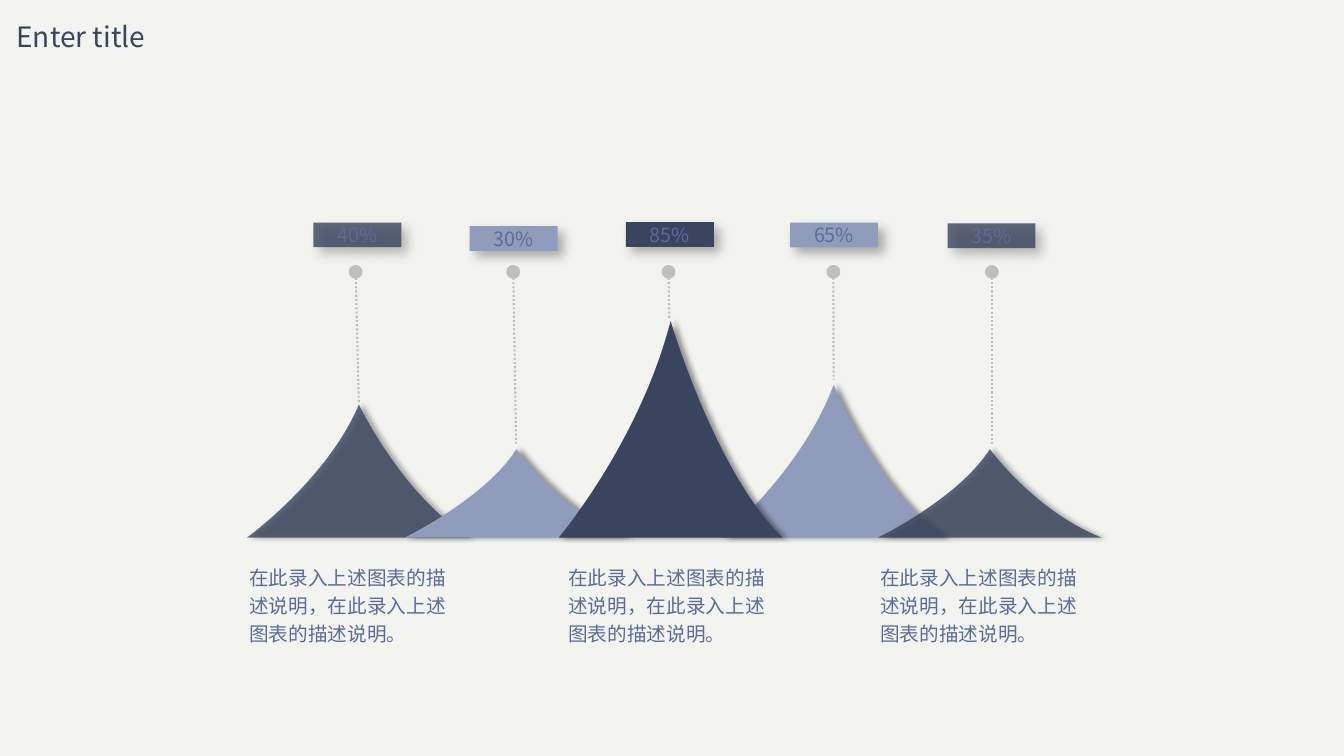
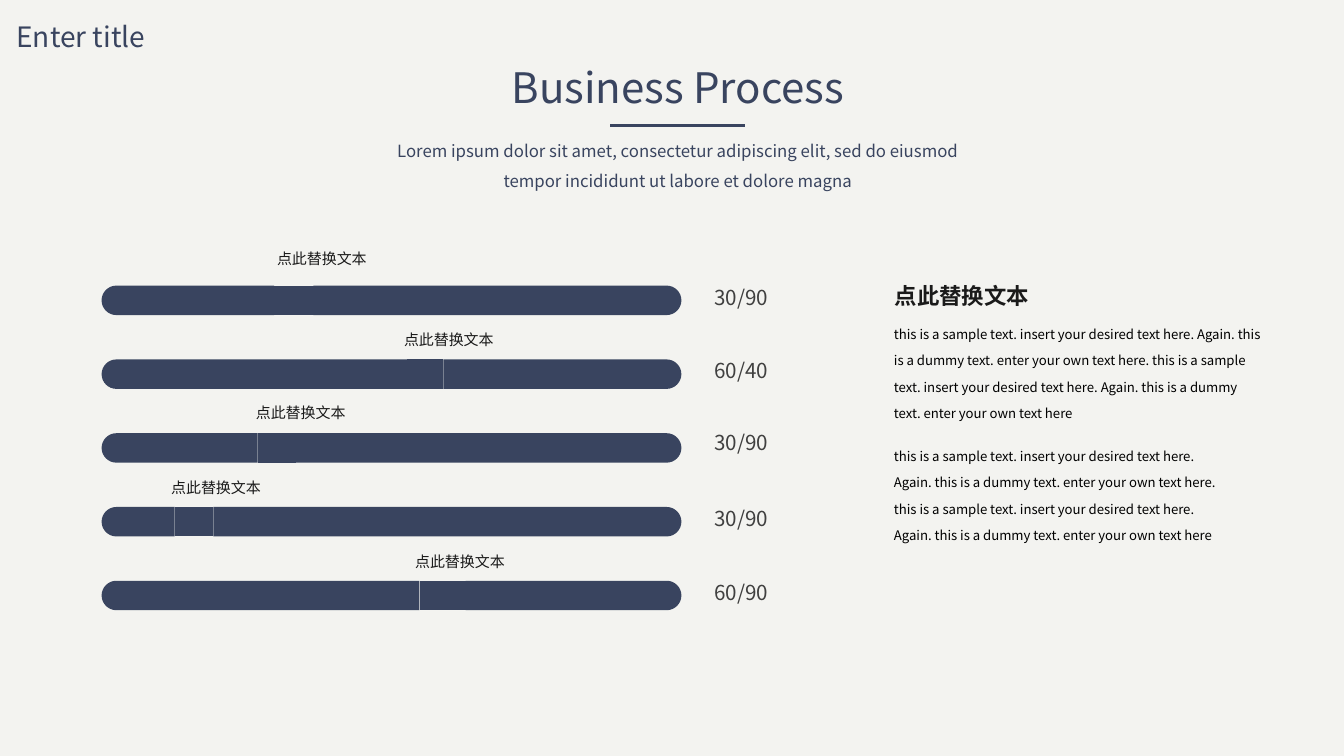
"""Build two slides: a chart of mountain peaks and a list of progress bars."""
from dataclasses import dataclass
from typing import Optional, Union

import lxml.etree
import pptx
import pptx.dml.color
import pptx.enum.dml
import pptx.enum.shapes
import pptx.enum.text
import pptx.oxml.ns
import pptx.util

COLUMNS, ROWS = 133.33, 75
CELL = pptx.util.Inches(0.1)
FONT = "Noto Sans CJK SC"
COLORS = {
    "paper": "F3F3F0",
    "navy": "39445F",
    "mist": "8F9CBC",
    "slate": "5B6C97",
    "pin": "BFBFBF",
    "score": "404040",
    "ink": "1A1A1A",
    "black": "000000",
}
BASELINE, PEAK_WIDTH = 53.34, 22.2
TAG_WIDTH, TAG_HEIGHT = 8.72, 2.45
PIN_TOP = 26.97
BAR_LEFT, BAR_RIGHT, BAR_TOP = 10.08, 67.6, 28.34
BAR_HEIGHT, BAR_PITCH = 2.92, 7.32
ROUNDING = 0.8
CAPTION = "在此录入上述图表的描述说明，在此录入上述图表的描述说明。"
LABEL = "点此替换文本"
SENTENCES = (
    "this is a sample text. insert your desired text here. Again. "
    "this is a dummy text. enter your own text here"
)
SAMPLE = f"{SENTENCES}. {SENTENCES}"
SUBTITLE = (
    "Lorem ipsum dolor sit amet, consectetur adipiscing elit, "
    "sed do eiusmod tempor incididunt ut labore et dolore magna"
)
Point = tuple[float, float]
Segment = tuple[Point, ...]


@dataclass(frozen=True)
class Style:
    """Look of a paragraph."""

    size: float
    color: str
    bold: bool = False
    centered: bool = False
    spacing: Optional[Union[float, pptx.util.Length]] = None


@dataclass(frozen=True)
class Shadow:
    """Outer shadow: opacity in percent, lengths in points, angle in degrees."""

    opacity: int
    blur: int
    distance: int
    angle: int


@dataclass(frozen=True)
class Peak:
    """One mountain with its percentage tag and dotted pin, in grid cells."""

    share: str
    color: str
    opacity: int
    left: float
    height: float
    tag: Point
    pin_start: float
    pin_end: Point


@dataclass(frozen=True)
class Bar:
    """One progress bar, split at two columns, with its label and score."""

    score: str
    score_top: float
    splits: Point
    label: Point


TITLE = Style(20, "navy")
HEADING = Style(30, "navy", centered=True, spacing=0.9)
LEAD = Style(12, "navy", centered=True, spacing=1.5)
TAG = Style(14, "slate", centered=True)
NOTE = Style(14, "slate", spacing=1.2)
SCORE = Style(14.7, "score")
BAR_LABEL = Style(10.7, "ink")
ASIDE_HEADING = Style(16, "ink", bold=True)
ASIDE = Style(9.4, "black", spacing=pptx.util.Pt(18.7))
PEAK_SHADOW = Shadow(40, 4, 3, 0)
TAG_SHADOW = Shadow(30, 8, 6, 45)

PEAKS = (
    Peak("40%", "navy", 80, 24.5, 13.2, (31.1, 22.08), 35.28, (35.6, 40.1)),
    Peak("30%", "mist", 100, 40.13, 8.77, (46.6, 22.44), 50.92, (51.2, 44)),
    Peak("65%", "mist", 100, 71.6, 15.15, (78.38, 22.1), 82.68, (82.7, 37.7)),
    Peak("85%", "navy", 100, 55.43, 21.48, (62.1, 22.04), 66.33, (66.4, 31.6)),
    Peak("35%", "navy", 80, 87.1, 8.78, (94, 22.17), 98.4, (98.4, 44)),
)
BARS = (
    Bar("30/90", 27.8, (27.2, 31.1), (26.5, 24.25)),
    Bar("60/40", 35, (40.4, 44), (39.1, 32.3)),
    Bar("30/90", 42.2, (25.55, 29.38), (24.4, 39.55)),
    Bar("30/90", 49.65, (17.32, 21.17), (16, 47)),
    Bar("60/90", 57.05, (41.62, 46.2), (40.2, 54.3)),
)


def cells(count: float) -> pptx.util.Length:
    """Turn grid cells into a length."""
    return pptx.util.Emu(round(count * CELL))


def rgb(name: str) -> pptx.dml.color.RGBColor:
    """Look up a colour by name."""
    return pptx.dml.color.RGBColor.from_string(COLORS[name])


def add_xml(parent, tag: str, **attributes: object):
    """Append a drawing element with attributes."""
    values = {key: str(value) for key, value in attributes.items()}
    return lxml.etree.SubElement(parent, pptx.oxml.ns.qn(tag), values)


def paint(shape, color: str, opacity: int = 100, shadow: Optional[Shadow] = None) -> None:
    """Fill a shape without outline and give it its shadow."""
    shape.fill.solid()
    shape.fill.fore_color.rgb = rgb(color)
    shape.line.fill.background()
    shape.shadow.inherit = False
    properties = shape._element.spPr
    if opacity < 100:
        fill = properties.find(pptx.oxml.ns.qn("a:solidFill"))
        add_xml(fill[0], "a:alpha", val=opacity * 1000)
    if shadow:
        effects = properties.find(pptx.oxml.ns.qn("a:effectLst"))
        outer = add_xml(
            effects, "a:outerShdw",
            blurRad=pptx.util.Pt(shadow.blur), dist=pptx.util.Pt(shadow.distance),
            dir=shadow.angle * 60000, algn="tl", rotWithShape=0,
        )
        tint = add_xml(outer, "a:srgbClr", val=COLORS["black"])
        add_xml(tint, "a:alpha", val=shadow.opacity * 1000)


def write(frame, text: str, style: Style, wrap: bool, inset: bool) -> None:
    """Put one styled paragraph into a text frame."""
    frame.word_wrap = wrap
    if not inset:
        frame.margin_left = frame.margin_right = 0
        frame.margin_top = frame.margin_bottom = 0
    paragraph = frame.paragraphs[0]
    paragraph.text = text
    align = pptx.enum.text.PP_ALIGN
    paragraph.alignment = align.CENTER if style.centered else align.LEFT
    if style.spacing is not None:
        paragraph.line_spacing = style.spacing
    font = paragraph.font
    font.size = pptx.util.Pt(style.size)
    font.bold = style.bold
    font.color.rgb = rgb(style.color)
    font.name = FONT
    defaults = paragraph._p.pPr.find(pptx.oxml.ns.qn("a:defRPr"))
    add_xml(defaults, "a:ea", typeface=FONT)


def add_text(slide, text: str, style: Style, at: Point, size: Point,
             wrap: bool = True, inset: bool = True, grow: bool = True) -> None:
    """Add a text box placed on the grid."""
    box = slide.shapes.add_textbox(*map(cells, (*at, *size)))
    write(box.text_frame, text, style, wrap, inset)
    fit = pptx.enum.text.MSO_AUTO_SIZE
    box.text_frame.auto_size = fit.SHAPE_TO_FIT_TEXT if grow else fit.NONE


def add_line(slide, start: Point, end: Point, color: str, width: float):
    """Add a straight line without shadow."""
    line = slide.shapes.add_connector(
        pptx.enum.shapes.MSO_CONNECTOR.STRAIGHT, *map(cells, (*start, *end))
    )
    line.line.color.rgb = rgb(color)
    line.line.width = pptx.util.Pt(width)
    add_xml(line._element.spPr, "a:effectLst")
    return line


def add_outline(slide, start: Point, segments: list[Segment]):
    """Add a closed outline; one point makes a line, three make a cubic curve."""
    builder = slide.shapes.build_freeform(*map(cells, start), scale=1.0)
    builder.add_line_segments(
        [(cells(x), cells(y)) for segment in segments for x, y in segment], close=True
    )
    shape = builder.convert_to_shape()
    lines = iter(list(shape._element.iter(pptx.oxml.ns.qn("a:lnTo"))))
    for segment in segments:
        first, *others = [next(lines) for _ in segment]
        if others:
            first.tag = pptx.oxml.ns.qn("a:cubicBezTo")
            for other in others:
                first.append(other[0])
                other.getparent().remove(other)
    return shape


def add_peak(slide, peak: Peak) -> None:
    """Draw a mountain, its tag and its pin."""
    def spot(across: float, up: float) -> Point:
        return peak.left + across * PEAK_WIDTH, BASELINE - up * peak.height

    left, right, top = spot(0, 0), spot(1, 0), spot(0.5, 1)
    slopes = [(right,), (spot(0.7, 0.3), top, top), (spot(0.36, 0.44), left, left)]
    paint(add_outline(slide, left, slopes), peak.color, peak.opacity, PEAK_SHADOW)

    tag = slide.shapes.add_shape(
        pptx.enum.shapes.MSO_SHAPE.RECTANGLE,
        *map(cells, (*peak.tag, TAG_WIDTH, TAG_HEIGHT)),
    )
    paint(tag, peak.color, peak.opacity, TAG_SHADOW)
    tag.text_frame.vertical_anchor = pptx.enum.text.MSO_ANCHOR.MIDDLE
    write(tag.text_frame, peak.share, TAG, wrap=False, inset=False)

    pin = add_line(slide, (peak.pin_start, PIN_TOP), peak.pin_end, "pin", 1.5)
    pin.line.dash_style = pptx.enum.dml.MSO_LINE.ROUND_DOT
    stroke = pin._element.spPr.find(pptx.oxml.ns.qn("a:ln"))
    add_xml(stroke, "a:headEnd", type="oval", w="lg", len="lg")


def round_end(edge: float, inward: int, top: float) -> list[Segment]:
    """Trace a round bar end from bottom to top; inward is 1 or -1."""
    radius = BAR_HEIGHT / 2
    middle, bottom = top + radius, top + BAR_HEIGHT
    shoulder, pull = edge + inward * radius, ROUNDING
    near = edge + inward * (radius - pull)
    return [
        ((near, bottom), (edge, middle + pull), (edge, middle)),
        ((edge, middle - pull), (near, top), (shoulder, top)),
    ]


def add_bar(slide, bar: Bar, top: float) -> None:
    """Draw a bar of three pieces with its label and score."""
    first, second = bar.splits
    bottom = top + BAR_HEIGHT
    for split, edge, inward in ((first, BAR_LEFT, 1), (second, BAR_RIGHT, -1)):
        shoulder = edge + inward * BAR_HEIGHT / 2
        end = [((split, bottom),), ((shoulder, bottom),)]
        end += round_end(edge, inward, top)
        paint(add_outline(slide, (split, top), end), "navy")
    middle = [((second, top),), ((second, bottom),), ((first, bottom),)]
    paint(add_outline(slide, (first, top), middle), "navy")
    add_text(slide, bar.score, SCORE, (69.9, bar.score_top), (7.5, 3.5), wrap=False)
    add_text(slide, LABEL, BAR_LABEL, bar.label, (11, 2.8), wrap=False)


def add_slide(deck):
    """Add a blank slide with the shared background and title."""
    slide = deck.slides.add_slide(deck.slide_layouts[6])
    slide.background.fill.solid()
    slide.background.fill.fore_color.rgb = rgb("paper")
    add_text(slide, "Enter title", TITLE, (0.65, 1.45), (15.3, 4.4), wrap=False)
    return slide


def main() -> None:
    """Build and save the deck."""
    deck = pptx.Presentation()
    deck.slide_width, deck.slide_height = cells(COLUMNS), cells(ROWS)

    mountains = add_slide(deck)
    for peak in PEAKS:
        add_peak(mountains, peak)
    for left in (23.75, 55.4, 86.35):
        add_text(mountains, CAPTION, NOTE, (left, 55.17), (23.4, 9.3))

    process = add_slide(deck)
    for row, bar in enumerate(BARS):
        add_bar(process, bar, BAR_TOP + row * BAR_PITCH)
    add_text(process, LABEL, ASIDE_HEADING, (87.8, 27.5), (15.8, 3.7), wrap=False)
    add_text(process, SAMPLE, ASIDE, (87.7, 30.87), (38.5, 11.7))
    add_text(process, SAMPLE, ASIDE, (87.7, 42.97), (34.5, 14))
    add_text(process, "Business Process", HEADING, (47.1, 6.7), (40.3, 6.2),
             inset=False, grow=False)
    add_line(process, (60.55, 12.44), (73.95, 12.44), "navy", 2)
    add_text(process, SUBTITLE, LEAD, (37.35, 12.94), (59.8, 5.7), inset=False)

    deck.save("out.pptx")


if __name__ == "__main__":
    main()
